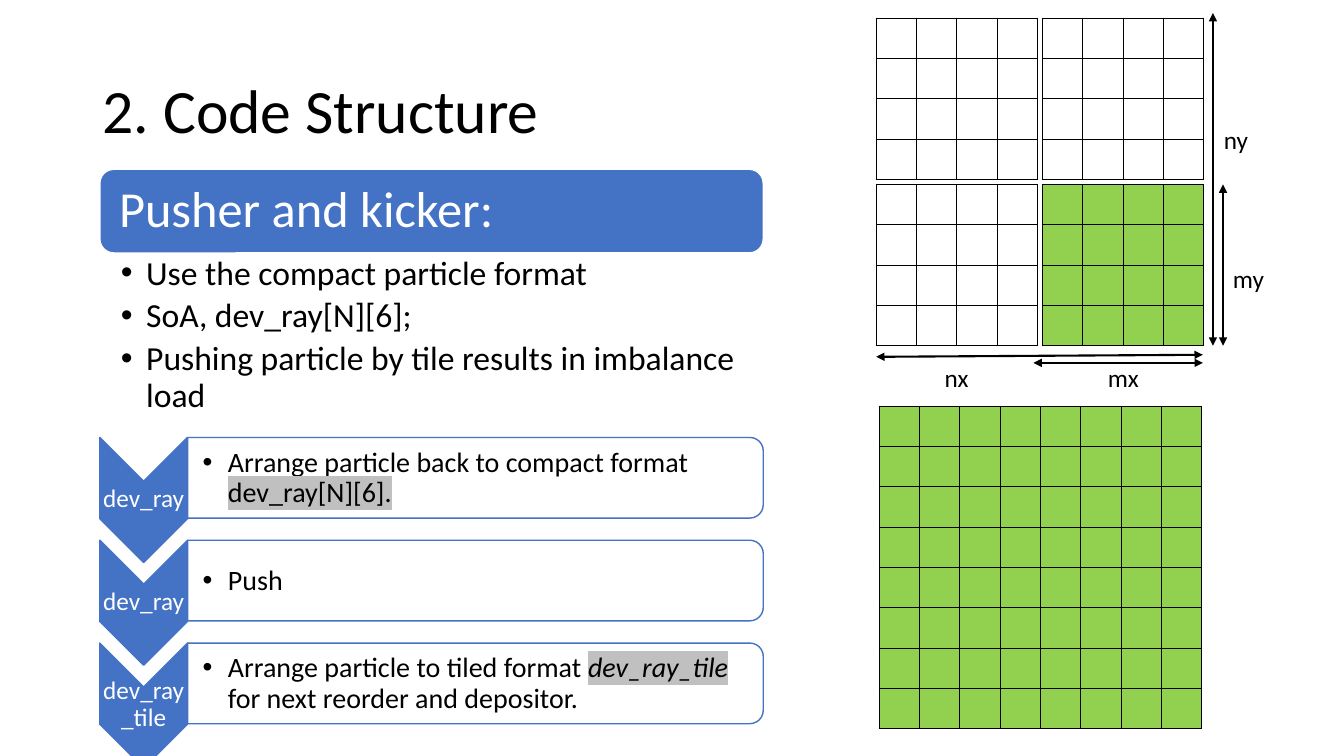
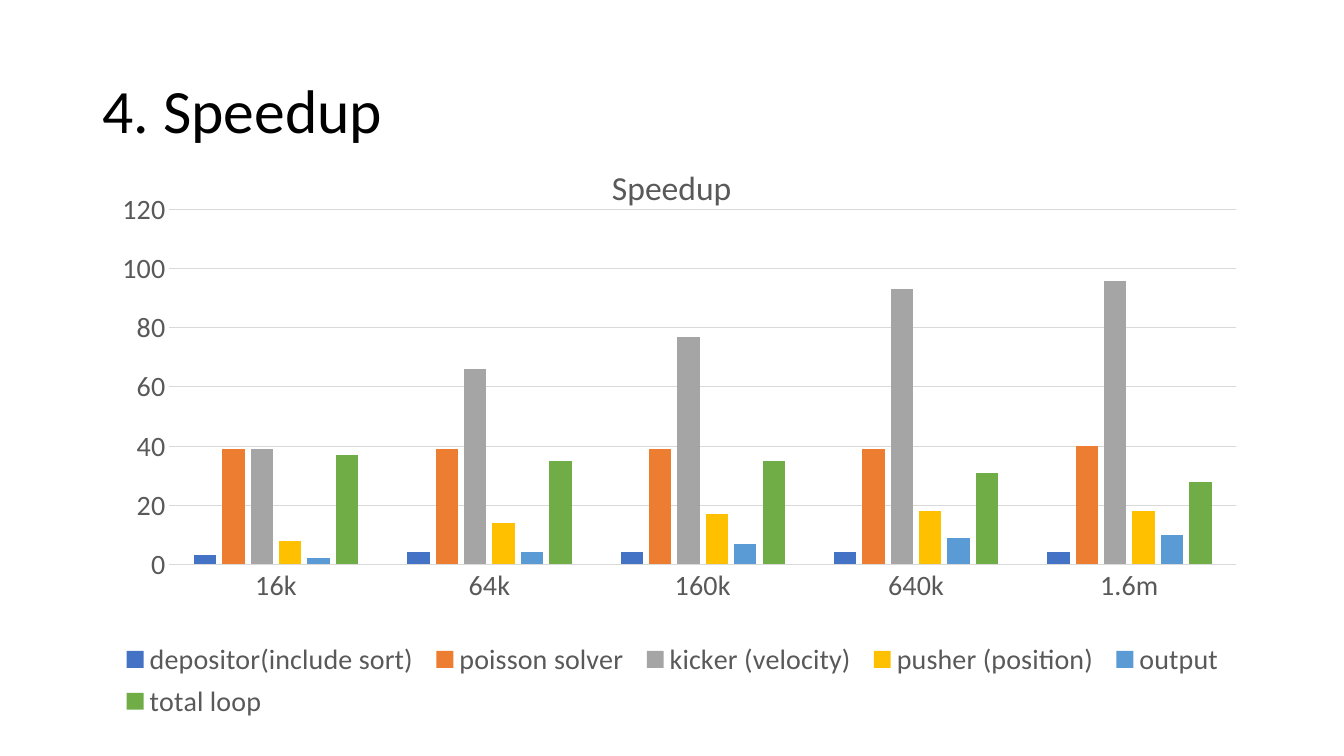
import pptx
import pptx.chart.data
import pptx.dml.color
import pptx.enum.chart
import pptx.enum.shapes
import pptx.enum.text
import pptx.oxml
import pptx.oxml.ns
import pptx.util
from dataclasses import dataclass

SHAPES = pptx.enum.shapes.MSO_SHAPE
ANCHOR = pptx.enum.text.MSO_ANCHOR
ALIGN = pptx.enum.text.PP_ALIGN
qn = pptx.oxml.ns.qn


@dataclass(frozen=True)
class Theme:
    font: str = "Calibri"
    black: str = "000000"
    white: str = "FFFFFF"
    blue: str = "4472C4"
    green: str = "92D050"
    highlight: str = "C0C0C0"
    chart_text: str = "595959"
    chart_line: str = "D9D9D9"
    title: int = 44
    heading: int = 36
    body: int = 24
    step: int = 20
    label: int = 18
    chart: int = 20


THEME = Theme()
EMU_PER_PX = 9144
SLIDE_SIZE = (1333, 750)
TITLE_BOX = (92, 40, 1150, 145)

CODE_TITLE = "2. Code Structure"
HEADING = "Pusher and kicker:"
HEADING_BOX = (99, 168, 658, 83)
POINTS = [
    "Use the compact particle format",
    "SoA, dev_ray[N][6];",
    "Pushing particle by tile results in imbalance load",
]
POINTS_BOX = (99, 251, 658, 170)

# Each step: chevron label, then runs of (text, format)
MARKED = {"highlight": True}
STEPS = [
    ("dev_ray", [("Arrange particle back to compact format ", {}),
                 ("dev_ray[N][6].", MARKED)]),
    ("dev_ray", [("Push", {})]),
    ("dev_ray_tile", [("Arrange particle to tiled format ", {}),
                      ("dev_ray_tile ", {**MARKED, "italic": True}),
                      ("for next reorder and depositor.", {})]),
]
STEP_TOP, STEP_PITCH = 434, 102
CHEVRON_LEFT, CHEVRON_WIDTH, CHEVRON_HEIGHT = 99, 87, 124
PANEL_WIDTH, PANEL_HEIGHT = 571, 80

CELL = 40
TILE_LEFT, TILE_TOP, TILE_PITCH, TILE_CELLS = 869, 18, 165, 4
# Tile fills, by row and column
TILES = [[None, None], [None, THEME.green]]
WHOLE_GRID = (872, 403, 8)
ARROWS = [
    (869, 354, 1193, 352),
    (1025, 360, 1193, 360),
    (1203, 13, 1203, 343),
    (1213, 183, 1213, 343),
]
DIMENSIONS = [("nx", 927, 355), ("mx", 1089, 355),
              ("ny", 1204, 118), ("my", 1213, 256)]
DIMENSION_SIZE = (60, 40)

SPEEDUP_TITLE = "4. Speedup"
CHART_TITLE = "Speedup"
CHART_BOX = (92, 141, 1150, 587)
PLOT_BOX = (76, 67, 1058, 352)
LEGEND_BOX = (20, 489, 1110, 90)
CHART_TITLE_AT = (509, 17)
CATEGORIES = ["16k", "64k", "160k", "640k", "1.6m"]
SERIES = [
    ("depositor(include sort)", THEME.blue, [3, 4, 4, 4, 4]),
    ("poisson solver", "ED7D31", [39, 39, 39, 39, 40]),
    ("kicker (velocity)", "A5A5A5", [39, 66, 77, 93, 96]),
    ("pusher (position)", "FFC000", [8, 14, 17, 18, 18]),
    ("output", "5B9BD5", [2, 4, 7, 9, 10]),
    ("total loop", "70AD47", [37, 35, 35, 31, 28]),
]


def px(*lengths):
    return [pptx.util.Emu(length * EMU_PER_PX) for length in lengths]


def rgb(color):
    return pptx.dml.color.RGBColor.from_string(color)


def xml(tag, content="", **attributes):
    namespaces = pptx.oxml.ns.nsdecls("a", "c")
    values = " ".join(f'{name}="{value}"' for name, value in attributes.items())
    return pptx.oxml.parse_xml(f"<{tag} {namespaces} {values}>{content}</{tag}>")


def apply_format(target, values):
    for name, value in values.items():
        setattr(target, name, value)


def set_font(font, size, color, **extra):
    apply_format(font, {"size": pptx.util.Pt(size), "name": THEME.font, **extra})
    font.color.rgb = rgb(color)


def set_line(line, color, width):
    line.color.rgb = rgb(color)
    line.width = pptx.util.Pt(width)


def fill_text(shape, paragraphs, size, color, insets=(10, 5, 10, 5),
              anchor=ANCHOR.TOP, align=ALIGN.LEFT, spacing=0.9, after=0, bullet=False):
    """Write paragraphs, each a list of (text, format) runs, into a shape."""
    frame = shape.text_frame
    sides = ("margin_left", "margin_top", "margin_right", "margin_bottom")
    apply_format(frame, {"word_wrap": True, "vertical_anchor": anchor,
                         **dict(zip(sides, px(*insets)))})
    for index, runs in enumerate(paragraphs):
        paragraph = frame.add_paragraph() if index else frame.paragraphs[0]
        apply_format(paragraph, {"alignment": align, "line_spacing": spacing,
                                 "space_after": pptx.util.Pt(after)})
        if bullet:
            properties = paragraph._p.get_or_add_pPr()
            indent = px(25)[0]
            properties.set("marL", str(indent))
            properties.set("indent", str(-indent))
            properties.append(xml("a:buFont", typeface="Arial"))
            properties.append(xml("a:buChar", char="•"))
        for text, values in runs:
            run = paragraph.add_run()
            run.text = text
            set_font(run.font, size, color, italic=values.get("italic", False))
            if values.get("highlight"):
                mark = xml("a:highlight", f'<a:srgbClr val="{THEME.highlight}"/>')
                run._r.rPr.find(qn("a:latin")).addprevious(mark)


def add_text(slide, box, paragraphs, size, color, **options):
    shape = slide.shapes.add_textbox(*px(*box))
    fill_text(shape, paragraphs, size, color, **options)


def add_filled(slide, kind, box, fill, line, rotation=0):
    shape = slide.shapes.add_shape(kind, *px(*box))
    shape.shadow.inherit = False
    shape.fill.solid()
    shape.fill.fore_color.rgb = rgb(fill)
    set_line(shape.line, line, 1)
    shape.rotation = rotation
    return shape


def add_turned(slide, kind, box, fill):
    """Add a shape turned a quarter, so that it covers box once turned."""
    left, top, width, height = box
    shift = (width - height) / 2
    add_filled(slide, kind, (left + shift, top - shift, height, width),
               fill, THEME.blue, rotation=90)


def add_titled_slide(presentation, title):
    slide = presentation.slides.add_slide(presentation.slide_layouts[6])
    add_text(slide, TITLE_BOX, [[(title, {})]], THEME.title, THEME.black,
             anchor=ANCHOR.MIDDLE)
    return slide


def add_step(slide, top, label, runs):
    chevron = (CHEVRON_LEFT, top, CHEVRON_WIDTH, CHEVRON_HEIGHT)
    panel = (CHEVRON_LEFT + CHEVRON_WIDTH, top, PANEL_WIDTH, PANEL_HEIGHT)
    add_turned(slide, SHAPES.CHEVRON, chevron, THEME.blue)
    add_turned(slide, SHAPES.ROUND_2_SAME_RECTANGLE, panel, THEME.white)
    label_height = CHEVRON_HEIGHT - CHEVRON_WIDTH
    label_box = (CHEVRON_LEFT, top + CHEVRON_WIDTH // 2, CHEVRON_WIDTH, label_height)
    add_text(slide, label_box, [[(label, {})]], THEME.label, THEME.white,
             insets=(1, 1, 1, 1), anchor=ANCHOR.MIDDLE, align=ALIGN.CENTER)
    add_text(slide, (panel[0], top + 4, PANEL_WIDTH - 3, PANEL_HEIGHT - 7), [runs],
             THEME.step, THEME.black, insets=(15, 1, 1, 1),
             anchor=ANCHOR.MIDDLE, bullet=True)


def add_grid(slide, left, top, count, fill):
    side = CELL * count
    table = slide.shapes.add_table(count, count, *px(left, top, side, side)).table
    apply_format(table, {"first_row": False, "horz_banding": False})
    margins = ("margin_left", "margin_top", "margin_right", "margin_bottom")
    border = f'<a:solidFill><a:srgbClr val="{THEME.black}"/></a:solidFill>'
    for cell in table.iter_cells():
        apply_format(cell, dict.fromkeys(margins, 0))
        for edge in ("a:lnL", "a:lnR", "a:lnT", "a:lnB"):
            cell._tc.get_or_add_tcPr().append(xml(edge, border, w=pptx.util.Pt(1)))
        if fill:
            cell.fill.solid()
            cell.fill.fore_color.rgb = rgb(fill)
        else:
            cell.fill.background()


def add_double_arrow(slide, ends):
    straight = pptx.enum.shapes.MSO_CONNECTOR.STRAIGHT
    connector = slide.shapes.add_connector(straight, *px(*ends))
    set_line(connector.line, THEME.black, 1.5)
    properties = connector.element.spPr
    for end in ("a:headEnd", "a:tailEnd"):
        properties.find(qn("a:ln")).append(xml(end, type="triangle"))
    properties.append(xml("a:effectLst"))


def build_code_structure(presentation):
    slide = add_titled_slide(presentation, CODE_TITLE)
    banner = add_filled(slide, SHAPES.ROUNDED_RECTANGLE, HEADING_BOX,
                        THEME.blue, THEME.white)
    fill_text(banner, [[(HEADING, {})]], THEME.heading, THEME.white,
              insets=(15, 15, 15, 15), anchor=ANCHOR.MIDDLE)
    add_text(slide, POINTS_BOX, [[(point, {})] for point in POINTS], THEME.body,
             THEME.black, insets=(21, 3, 19, 3), after=4.8, bullet=True)
    for index, (label, runs) in enumerate(STEPS):
        add_step(slide, STEP_TOP + index * STEP_PITCH, label, runs)
    for row, fills in enumerate(TILES):
        for column, fill in enumerate(fills):
            add_grid(slide, TILE_LEFT + column * TILE_PITCH,
                     TILE_TOP + row * TILE_PITCH, TILE_CELLS, fill)
    add_grid(slide, *WHOLE_GRID, THEME.green)
    for ends in ARROWS:
        add_double_arrow(slide, ends)
    for text, left, top in DIMENSIONS:
        add_text(slide, (left, top, *DIMENSION_SIZE), [[(text, {})]],
                 THEME.label, THEME.black, spacing=1.0)


def place_in_chart(chart, tag, position, lengths, inner=False):
    """Place a chart part by px lengths measured inside the chart."""
    part = chart.element.find(".//" + qn(tag))
    for old_layout in part.findall(qn("c:layout")):
        part.remove(old_layout)
    items = ['<c:layoutTarget val="inner"/>'] if inner else []
    items += ['<c:xMode val="edge"/>', '<c:yMode val="edge"/>']
    items += [f'<c:{name} val="{length / size:.4f}"/>'
              for name, length, size in zip("xywh", lengths, CHART_BOX[2:] * 2)]
    content = f"<c:manualLayout>{''.join(items)}</c:manualLayout>"
    part.insert(position, xml("c:layout", content))


def build_speedup(presentation):
    slide = add_titled_slide(presentation, SPEEDUP_TITLE)
    data = pptx.chart.data.CategoryChartData(number_format="0")
    data.categories = CATEGORIES
    for name, _, values in SERIES:
        data.add_series(name, values)
    kind = pptx.enum.chart.XL_CHART_TYPE.COLUMN_CLUSTERED
    chart = slide.shapes.add_chart(kind, *px(*CHART_BOX), data).chart
    set_font(chart.font, THEME.chart, THEME.chart_text)
    run = chart.chart_title.text_frame.paragraphs[0].add_run()
    run.text = CHART_TITLE
    set_font(run.font, THEME.body, THEME.chart_text, bold=False)

    plot = chart.plots[0]
    apply_format(plot, {"gap_width": 219, "overlap": -27, "vary_by_categories": False})
    for series, (_, color, _) in zip(plot.series, SERIES):
        series.format.fill.solid()
        series.format.fill.fore_color.rgb = rgb(color)

    no_tick = pptx.enum.chart.XL_TICK_MARK.NONE
    for axis in (chart.category_axis, chart.value_axis):
        apply_format(axis, {"major_tick_mark": no_tick, "minor_tick_mark": no_tick})
        set_font(axis.tick_labels.font, THEME.chart, THEME.chart_text)
    apply_format(chart.value_axis, {"minimum_scale": 0, "maximum_scale": 120,
                                    "major_unit": 20})
    chart.value_axis.format.line.fill.background()
    set_line(chart.category_axis.format.line, THEME.chart_line, 0.75)
    set_line(chart.value_axis.major_gridlines.format.line, THEME.chart_line, 0.75)

    chart.has_legend = True
    apply_format(chart.legend, {"include_in_layout": False,
                                "position": pptx.enum.chart.XL_LEGEND_POSITION.BOTTOM})
    set_font(chart.legend.font, THEME.chart, THEME.chart_text)
    place_in_chart(chart, "c:title", 1, CHART_TITLE_AT)
    place_in_chart(chart, "c:plotArea", 0, PLOT_BOX, inner=True)
    place_in_chart(chart, "c:legend", 1, LEGEND_BOX)


def main():
    presentation = pptx.Presentation()
    presentation.slide_width, presentation.slide_height = px(*SLIDE_SIZE)
    build_code_structure(presentation)
    build_speedup(presentation)
    presentation.save("out.pptx")


if __name__ == "__main__":
    main()
